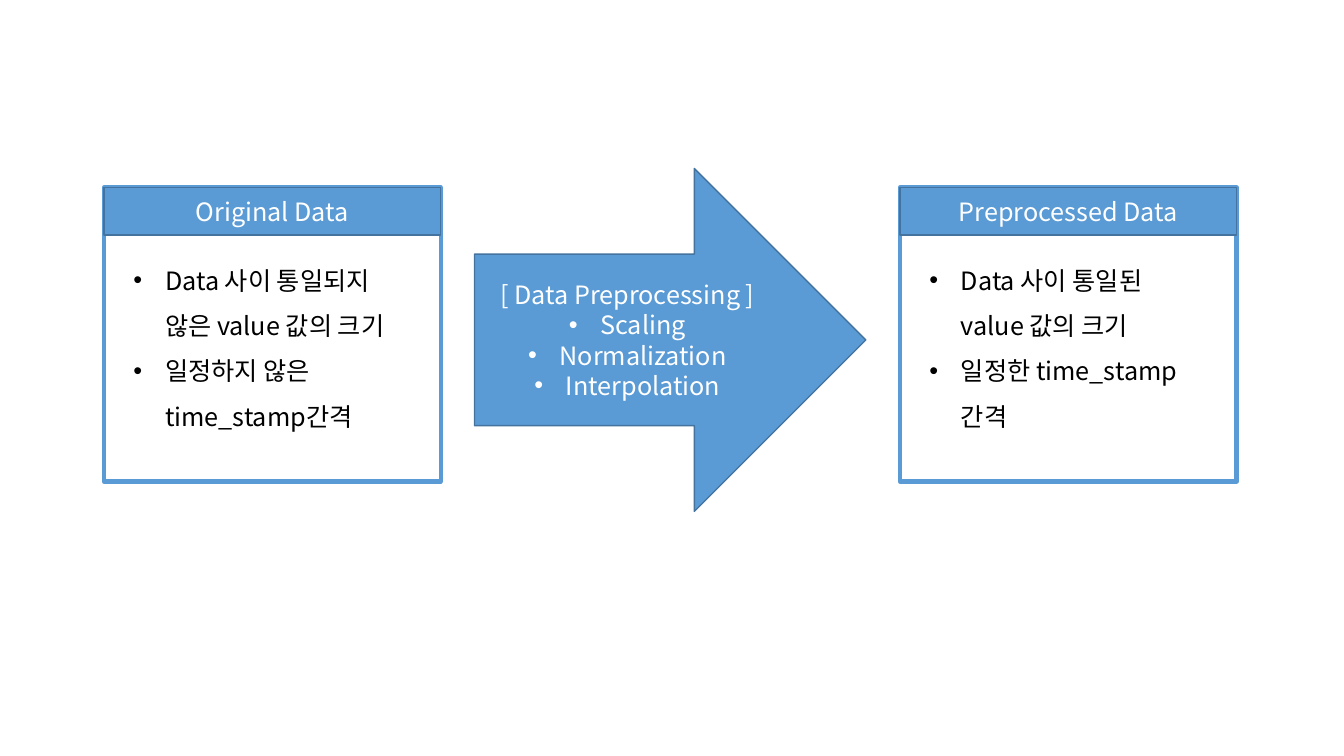
from lxml.etree import SubElement as Sub
from pptx import Presentation as Deck
from pptx.dml.color import RGBColor as Rgb
from pptx.enum.shapes import MSO_SHAPE as Kind
from pptx.enum.text import MSO_ANCHOR as Anchor, MSO_AUTO_SIZE as Fit, PP_ALIGN as Align
from pptx.oxml.ns import qn
from pptx.util import Pt

FONT = "Noto Sans CJK KR"
HUES = {"blue": "5B9BD5", "edge": "43739E", "white": "FFFFFF", "black": "000000"}
TOP = 134


def hue(name):
    """Return the named colour."""
    return Rgb.from_string(HUES[name])


def bullet(para):
    """Give a paragraph a round bullet with a hanging indent."""
    props = para._p.get_or_add_pPr()
    props.set("marL", str(Pt(22.5)))
    props.set("indent", str(Pt(-22.5)))
    Sub(props, qn("a:buFont"), typeface="Arial")
    Sub(props, qn("a:buChar"), char="•")


def write(frame, lines, color="white", align=Align.CENTER, space=None, first=0):
    """Fill a frame with lines, bulleted from the index first on."""
    frame.word_wrap = True
    for num, line in enumerate(lines):
        para = frame.add_paragraph() if num else frame.paragraphs[0]
        para.alignment = align
        if space:
            para.line_spacing = space
        if num >= first:
            bullet(para)
        run = para.add_run()
        run.text = line
        run.font.size = Pt(18)
        run.font.name = FONT
        run.font.color.rgb = hue(color)
        Sub(run._r.get_or_add_rPr(), qn("a:ea"), typeface=FONT)


def block(shapes, kind, area, fill="blue", edge="edge", width=1):
    """Add a filled, outlined shape."""
    shape = shapes.add_shape(kind, *map(Pt, area))
    shape.shadow.inherit = False
    shape.fill.solid()
    shape.fill.fore_color.rgb = hue(fill)
    shape.line.color.rgb = hue(edge)
    shape.line.width = Pt(width)
    shape.text_frame.vertical_anchor = Anchor.MIDDLE
    return shape


def card(slide, left, title, points):
    """Add a grouped card with a title bar and bullet points."""
    shapes = slide.shapes.add_group_shape().shapes
    block(shapes, Kind.RECTANGLE, (left, TOP, 240.5, 210), "white", "blue", 3)
    bar = block(shapes, Kind.RECTANGLE, (left, TOP, 240.5, 34))
    write(bar.text_frame, [title], first=1)
    body = shapes.add_textbox(*map(Pt, (left + 14, TOP + 41, 213, 91)))
    body.text_frame.auto_size = Fit.SHAPE_TO_FIT_TEXT
    write(body.text_frame, points, color="black", align=Align.LEFT, space=1.5)


def main():
    """Build the preprocessing slide."""
    deck = Deck()
    deck.slide_width, deck.slide_height = Pt(960), Pt(540)
    slide = deck.slides.add_slide(deck.slide_layouts[6])
    card(slide, 74.3, "Original Data",
         ["Data 사이 통일되지 않은 value 값의 크기", "일정하지 않은 time_stamp간격"])
    card(slide, 642.8, "Preprocessed Data",
         ["Data 사이 통일된 value 값의 크기", "일정한 time_stamp 간격"])
    arrow = block(slide.shapes, Kind.RIGHT_ARROW, (339, 120.3, 279.5, 245))
    write(arrow.text_frame,
          ["[ Data Preprocessing ]", "Scaling", "Normalization", "Interpolation"], first=1)
    deck.save("out.pptx")


main()
